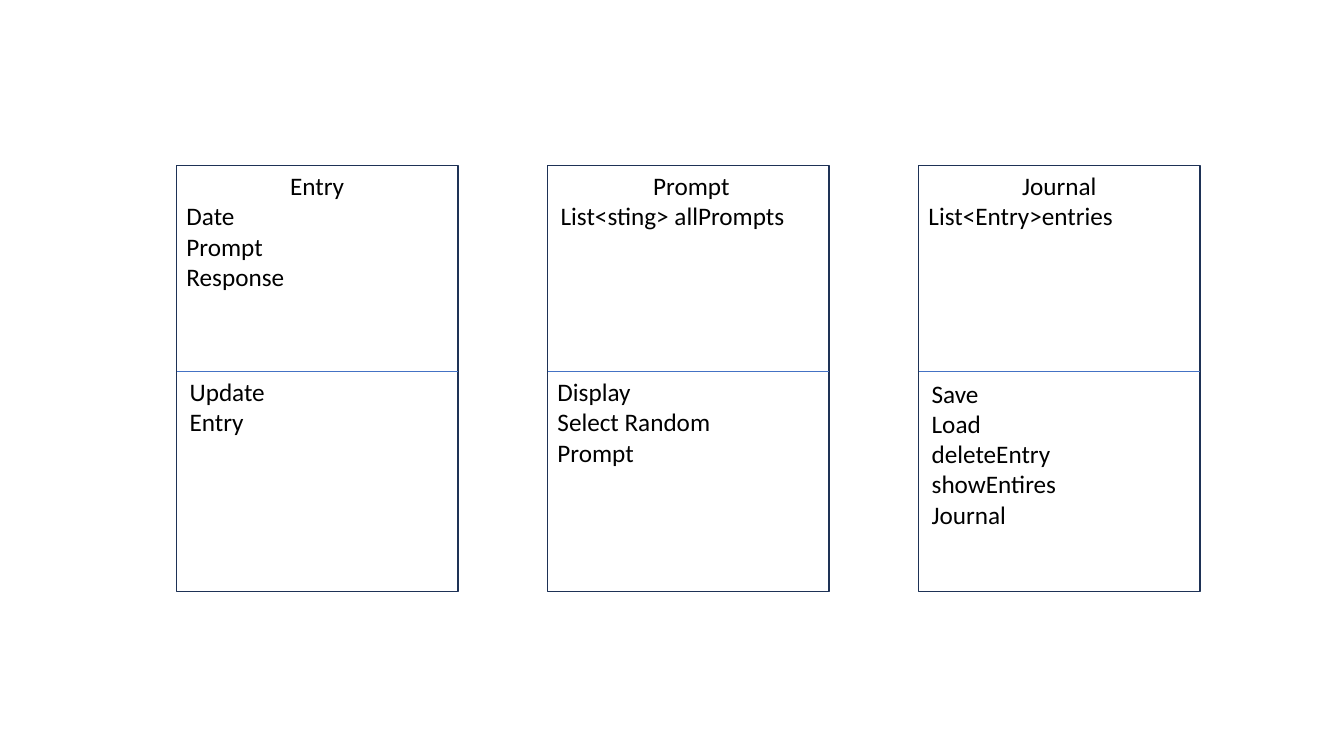
from pptx import Presentation
from pptx.dml.color import RGBColor
from pptx.enum.shapes import MSO_CONNECTOR as Link, MSO_SHAPE as Shape
from pptx.enum.text import MSO_AUTO_SIZE as Fit, PP_ALIGN as Align
from pptx.oxml.ns import qn
from pptx.util import Cm, Pt
from lxml.etree import SubElement

NAVY = RGBColor(0x1E, 0x32, 0x56)
BLUE = RGBColor(0x44, 0x72, 0xC4)
BLACK = RGBColor(0, 0, 0)

LEFT, TOP, STEP = 4.45, 4.17, 9.35
WIDTH, HEIGHT, SPLIT = 7.09, 10.74, 9.36
ROW, PAD = 0.76, 0.25

CARDS = [
    (("Entry", ["Date", "Prompt", "Response"], 0, 4),
     (["Update", "Entry"], 0.08, 0, 2)),
    (("Prompt", ["List<sting> allPrompts"], 0.08, 3),
     (["Display", "Select Random", "Prompt"], 0, 0, 3)),
    (("Journal", ["List<Entry>entries"], 0, 3),
     (["Save", "Load", "deleteEntry", "showEntires", "Journal"], 0.08, 0.04, 5)),
]


def add_frame(slide, left):
    frame = slide.shapes.add_shape(
        Shape.RECTANGLE, Cm(left), Cm(TOP), Cm(WIDTH), Cm(HEIGHT))
    frame.shadow.inherit = False
    frame.fill.background()
    frame.line.color.rgb = NAVY
    frame.line.width = Pt(1)


def add_rule(slide, left):
    rule = slide.shapes.add_connector(
        Link.STRAIGHT, Cm(left), Cm(SPLIT), Cm(left + WIDTH), Cm(SPLIT))
    rule.line.color.rgb = BLUE
    rule.line.width = Pt(0.5)
    SubElement(rule._element.spPr, qn("a:effectLst"))


def add_lines(slide, left, top, rows, lines):
    box = slide.shapes.add_textbox(
        Cm(left), Cm(top), Cm(WIDTH), Cm(rows * ROW + PAD))
    frame = box.text_frame
    frame.word_wrap = True
    frame.auto_size = Fit.SHAPE_TO_FIT_TEXT
    frame.text = "\n".join(lines)
    for para in frame.paragraphs:
        para.font.name = "Calibri"
        para.font.size = Pt(18)
        para.font.color.rgb = BLACK
    return frame


def add_card(slide, left, fields, methods):
    add_frame(slide, left)
    add_rule(slide, left)
    name, lines, shift, rows = fields
    text = add_lines(slide, left + shift, TOP, rows, [name] + lines)
    text.paragraphs[0].alignment = Align.CENTER
    lines, shift, drop, rows = methods
    add_lines(slide, left + shift, SPLIT + drop, rows, lines)


def main():
    deck = Presentation()
    deck.slide_width = Cm(33.87)
    deck.slide_height = Cm(19.05)
    slide = deck.slides.add_slide(deck.slide_layouts[6])
    for index, (fields, methods) in enumerate(CARDS):
        add_card(slide, LEFT + index * STEP, fields, methods)
    deck.save("out.pptx")


main()
